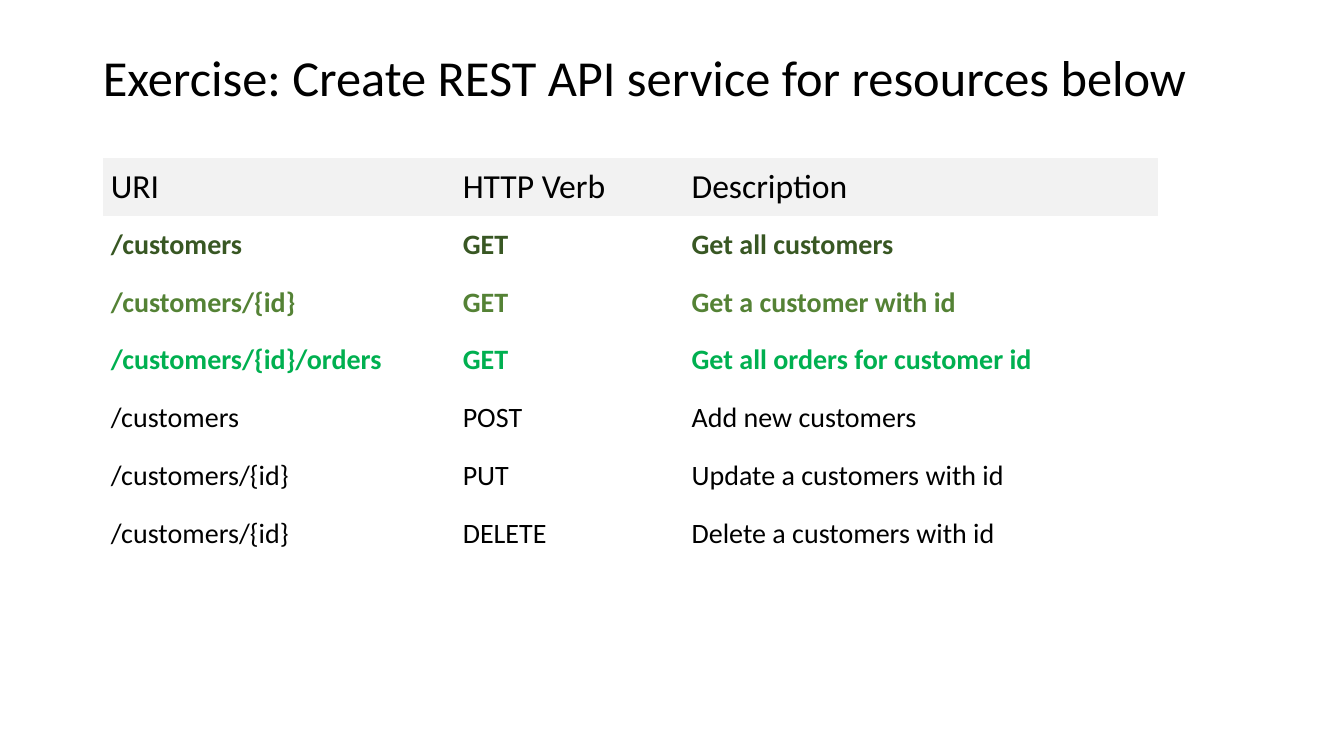
from collections import namedtuple

from pptx import Presentation
from pptx.dml.color import RGBColor
from pptx.enum.text import MSO_ANCHOR, MSO_AUTO_SIZE, PP_ALIGN
from pptx.util import Inches, Pt

Box = namedtuple("Box", "left top width height")


class Theme:
    """Colours, type sizes and spacing of the slide."""
    font = "Calibri"
    title_size = Pt(36)
    header_size = Pt(24)
    body_size = Pt(20)
    black = RGBColor.from_string("000000")
    dark_green = RGBColor.from_string("385723")
    green = RGBColor.from_string("548235")
    bright_green = RGBColor.from_string("00B050")
    header_fill = RGBColor.from_string("F2F2F2")
    side_margin = Inches(0.08)
    header_margin = Inches(0.08)
    body_margin = Inches(0.11)
    plain_table_style = "{2D5ABB26-0587-4C30-8999-92F81FD0307C}"


TITLE = "Exercise: Create REST API service for resources below"
HEADER = ("URI", "HTTP Verb", "Description")
COLUMN_WIDTHS = (3.49, 2.27, 4.71)
RESOURCES = [
    (Theme.dark_green, True, ("/customers", "GET", "Get all customers")),
    (Theme.green, True, ("/customers/{id}", "GET", "Get a customer with id")),
    (Theme.bright_green, True,
     ("/customers/{id}/orders", "GET", "Get all orders for customer id")),
    (Theme.black, False, ("/customers", "POST", "Add new customers")),
    (Theme.black, False, ("/customers/{id}", "PUT", "Update a customers with id")),
    (Theme.black, False, ("/customers/{id}", "DELETE", "Delete a customers with id")),
]


def write_text(frame, text, size, color, bold=False):
    """Put one formatted paragraph in a text frame and return it."""
    frame.text = text
    para = frame.paragraphs[0]
    para.alignment = PP_ALIGN.LEFT
    font = para.runs[0].font
    font.name, font.size, font.bold = Theme.font, size, bold
    font.color.rgb = color
    return para


def place_title(page, box):
    """Move the title placeholder to the box and fill it."""
    title = page.shapes.title
    title.left, title.top, title.width, title.height = box
    para = write_text(title.text_frame, TITLE, Theme.title_size, Theme.black)
    para.line_spacing = 0.9
    title.text_frame.vertical_anchor = MSO_ANCHOR.MIDDLE
    title.text_frame.auto_size = MSO_AUTO_SIZE.NONE


def fill_row(row, texts, size, color, bold, margin, fill=None):
    """Write one table row with a shared format."""
    for cell, text in zip(row.cells, texts):
        write_text(cell.text_frame, text, size, color, bold)
        cell.vertical_anchor = MSO_ANCHOR.MIDDLE
        cell.margin_left = cell.margin_right = Theme.side_margin
        cell.margin_top = cell.margin_bottom = margin
        if fill is None:
            cell.fill.background()
        else:
            cell.fill.solid()
            cell.fill.fore_color.rgb = fill


def place_resource_table(page, box):
    """Build the table of resources with equal rows in the box."""
    frame = page.shapes.add_table(len(RESOURCES) + 1, len(HEADER), *box)
    frame.element.xpath(".//a:tableStyleId")[0].text = Theme.plain_table_style
    table = frame.table
    table.first_row = table.horz_banding = False
    for column, width in zip(table.columns, COLUMN_WIDTHS):
        column.width = Inches(width)
    header_row, *body_rows = table.rows
    fill_row(header_row, HEADER, Theme.header_size, Theme.black, False,
             Theme.header_margin, Theme.header_fill)
    for row, (color, bold, texts) in zip(body_rows, RESOURCES):
        fill_row(row, texts, Theme.body_size, color, bold, Theme.body_margin)


def main():
    """Create the deck and save it."""
    deck = Presentation()
    deck.slide_width, deck.slide_height = Inches(13.33), Inches(7.5)
    page = deck.slides.add_slide(deck.slide_layouts.get_by_name("Title Only"))
    place_title(page, Box(Inches(0.92), Inches(0.4), Inches(11.5), Inches(0.79)))
    place_resource_table(
        page, Box(Inches(1.02), Inches(1.57), Inches(sum(COLUMN_WIDTHS)), Inches(4.01)))
    deck.save("out.pptx")


if __name__ == "__main__":
    main()
